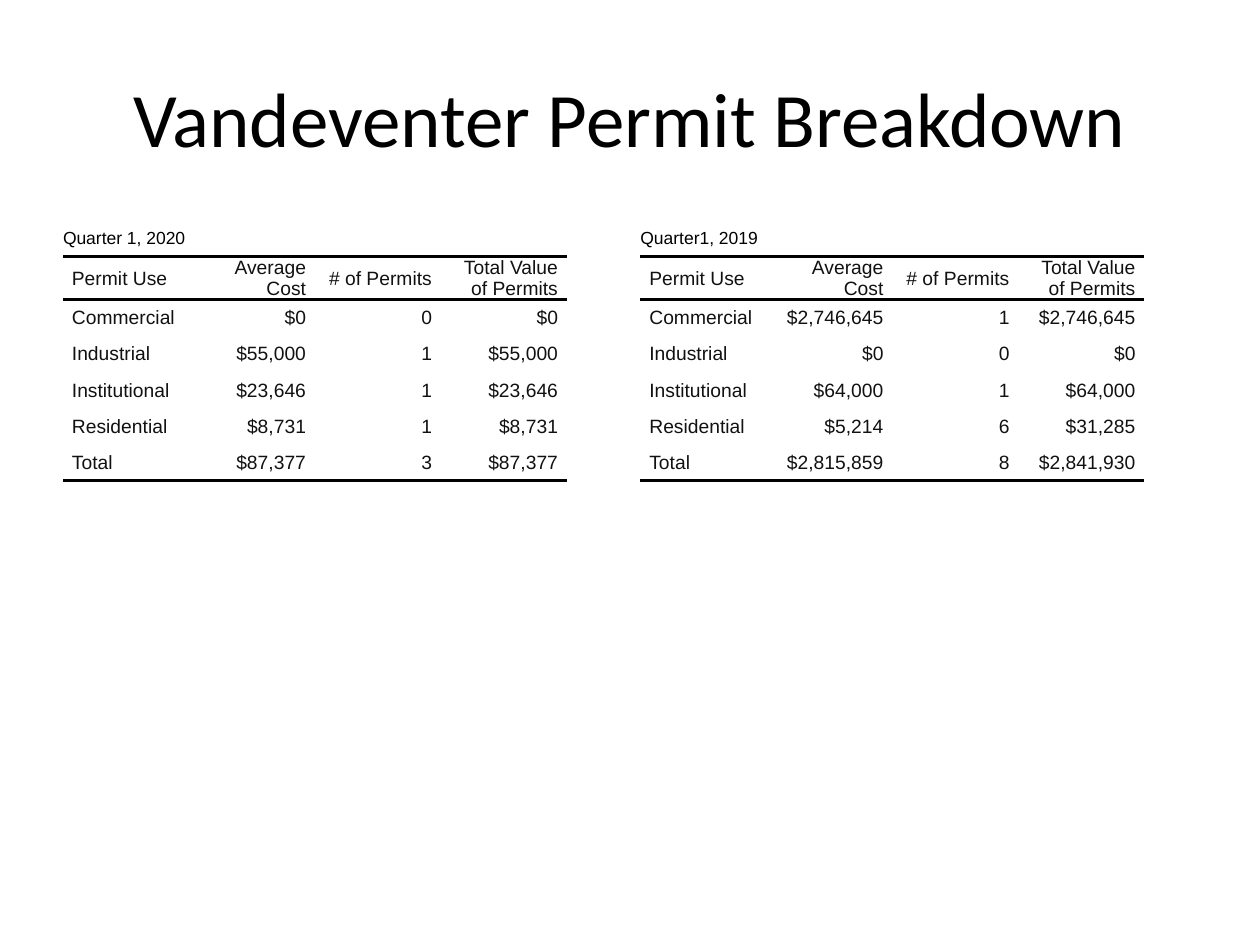
from lxml import etree
from pptx import Presentation
from pptx.dml.color import RGBColor
from pptx.enum.text import MSO_ANCHOR, PP_ALIGN
from pptx.oxml.ns import qn
from pptx.util import Cm, Pt

MIDDLE = MSO_ANCHOR.MIDDLE
LEFT, CENTER, RIGHT = PP_ALIGN.LEFT, PP_ALIGN.CENTER, PP_ALIGN.RIGHT
TITLE_ONLY = 5

BLACK, INK = "000000", "111111"
COLUMN_WIDTH, ROW_HEIGHT = Cm(2.54), Cm(0.73)
HEADER_HEIGHT = Cm(0.86)
CELL_INDENT = Cm(0.18)
RULE_WIDTH = Pt(2)

HEADINGS = ["Permit Use", "Average Cost", "# of Permits", "Total Value of Permits"]
QUARTER_2020 = [
    ["Commercial", "$0", "0", "$0"],
    ["Industrial", "$55,000", "1", "$55,000"],
    ["Institutional", "$23,646", "1", "$23,646"],
    ["Residential", "$8,731", "1", "$8,731"],
    ["Total", "$87,377", "3", "$87,377"],
]
QUARTER_2019 = [
    ["Commercial", "$2,746,645", "1", "$2,746,645"],
    ["Industrial", "$0", "0", "$0"],
    ["Institutional", "$64,000", "1", "$64,000"],
    ["Residential", "$5,214", "6", "$31,285"],
    ["Total", "$2,815,859", "8", "$2,841,930"],
]


def color(value):
    return RGBColor.from_string(value)


def write(paragraph, words, size, font_name, ink, align):
    paragraph.alignment = align
    run = paragraph.add_run()
    run.text = words
    run.font.size = Pt(size)
    run.font.name = font_name
    run.font.color.rgb = color(ink)


def indent(paragraph):
    properties = paragraph._p.get_or_add_pPr()
    for side in ("marL", "marR"):
        properties.set(side, str(CELL_INDENT))
    properties.set("indent", "0")


def set_borders(cell, ruled_sides):
    properties = cell._tc.get_or_add_tcPr()
    for side in "LRTB":
        border = etree.SubElement(properties, qn(f"a:ln{side}"))
        if side in ruled_sides:
            border.set("w", str(RULE_WIDTH))
            fill = etree.SubElement(border, qn("a:solidFill"))
            etree.SubElement(fill, qn("a:srgbClr"), val=BLACK)
        else:
            etree.SubElement(border, qn("a:noFill"))


def format_cell(cell, ruled_sides):
    set_borders(cell, ruled_sides)
    cell.fill.background()
    cell.vertical_anchor = MIDDLE
    cell.margin_left = cell.margin_right = 0
    cell.margin_top = cell.margin_bottom = 0


def add_permit_table(slide, left, quarter, permits):
    rows = [[quarter, "", "", ""], HEADINGS] + permits
    ruled_sides = {0: "B", 1: "TB", 2: "T", len(rows) - 1: "B"}
    table = slide.shapes.add_table(
        len(rows), len(HEADINGS), left, Cm(4.45),
        COLUMN_WIDTH * len(HEADINGS), ROW_HEIGHT * len(rows),
    ).table
    table.first_row = table.horz_banding = False
    for column in table.columns:
        column.width = COLUMN_WIDTH
    for row in table.rows:
        row.height = ROW_HEIGHT
    table.rows[1].height = HEADER_HEIGHT

    for row_index, values in enumerate(rows):
        for column_index, value in enumerate(values):
            cell = table.cell(row_index, column_index)
            format_cell(cell, ruled_sides.get(row_index, ""))
            paragraph = cell.text_frame.paragraphs[0]
            if row_index > 0:
                indent(paragraph)
                align = RIGHT if column_index else LEFT
                write(paragraph, value, 11, "Arial", INK, align)
            elif value:
                write(paragraph, value, 10, "Arial", BLACK, LEFT)
    table.cell(0, 0).merge(table.cell(0, len(HEADINGS) - 1))


def add_title(slide, words):
    title = slide.shapes.title
    title.left, title.top = Cm(1.27), Cm(0.76)
    title.width, title.height = Cm(22.86), Cm(3.18)
    title.text_frame.vertical_anchor = MIDDLE
    write(title.text_frame.paragraphs[0], words, 44, "Calibri", BLACK, CENTER)


def main():
    presentation = Presentation()
    presentation.slide_width, presentation.slide_height = Cm(25.4), Cm(19.05)
    slide = presentation.slides.add_slide(presentation.slide_layouts[TITLE_ONLY])
    add_permit_table(slide, Cm(1.27), "Quarter 1, 2020", QUARTER_2020)
    add_permit_table(slide, Cm(12.91), "Quarter1, 2019", QUARTER_2019)
    add_title(slide, "Vandeventer Permit Breakdown")
    presentation.save("out.pptx")


if __name__ == "__main__":
    main()
